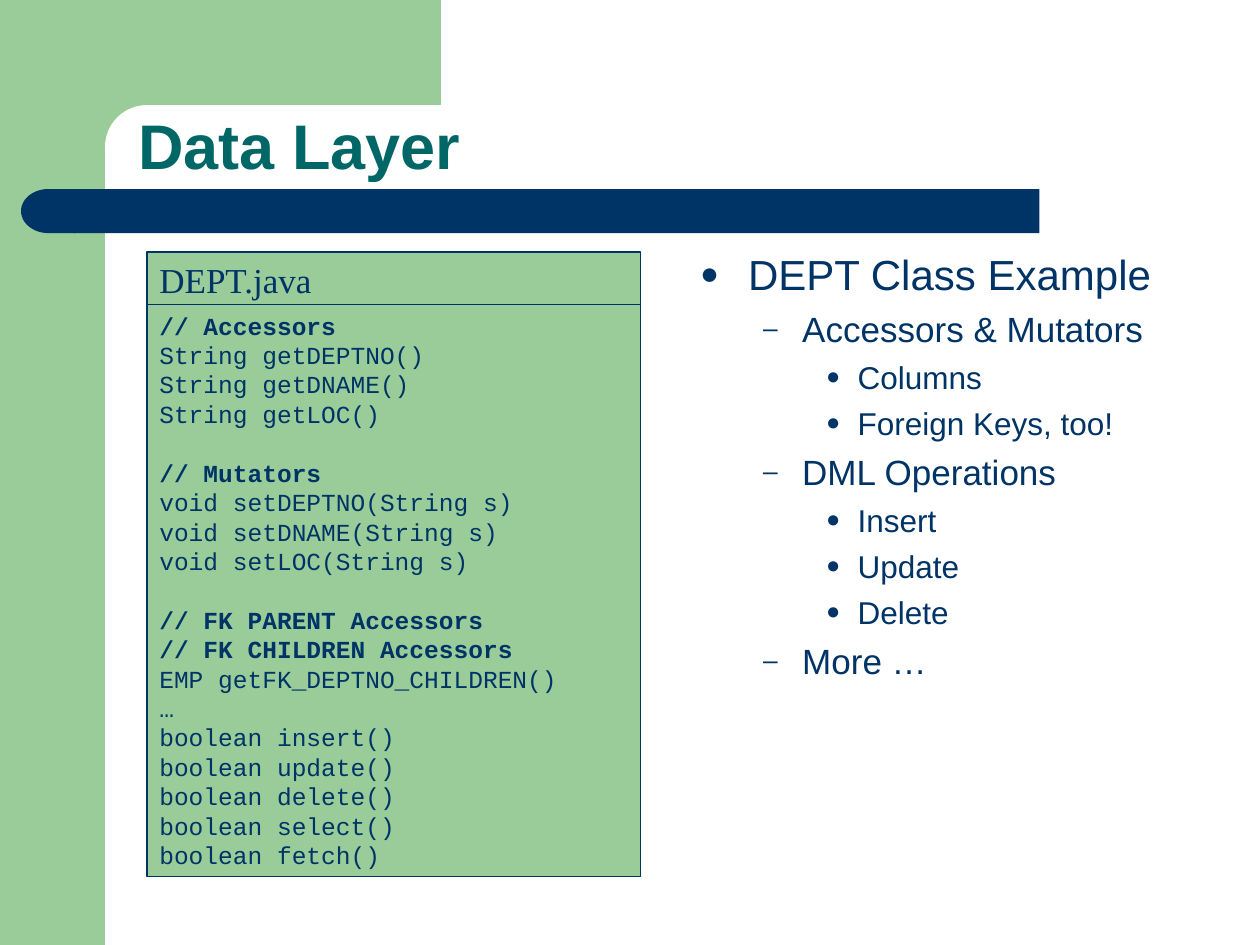
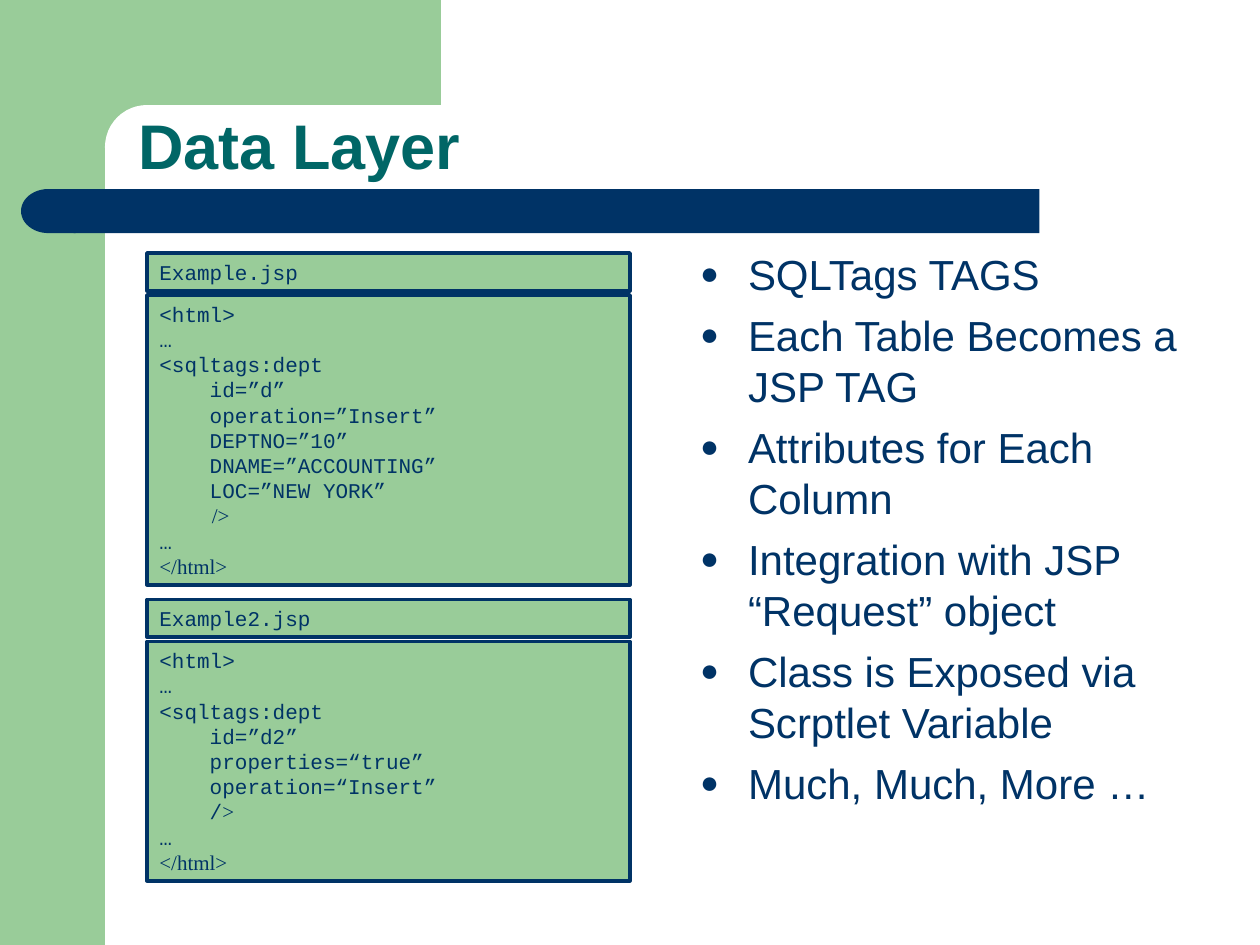
from lxml import etree
from pptx import Presentation
from pptx.dml.color import RGBColor
from pptx.enum.shapes import MSO_SHAPE
from pptx.enum.text import MSO_ANCHOR
from pptx.oxml.ns import qn
from pptx.util import Inches, Pt

COLORS = {"green": "99CC99", "navy": "003366", "teal": "006666", "white": "FFFFFF"}
SANS, MONO, SERIF = "Arial", "Courier New", "Times New Roman"
COLS, ROWS = 120, 90  # grid cells of 1/12 inch
LINE = 1.2  # line height as a share of the text size

# Bullet levels: character, text size, left margin, hanging indent, space before
LEVELS = [("●", 24, 0.38, 0.38, 6), ("–", 20, 0.81, 0.31, 5), ("●", 18, 1.25, 0.25, 4.5)]

DEPT_CODE = [
    ["// Accessors", "String getDEPTNO()", "String getDNAME()", "String getLOC()"],
    ["// Mutators", "void setDEPTNO(String s)", "void setDNAME(String s)",
     "void setLOC(String s)"],
    ["// FK PARENT Accessors", "// FK CHILDREN Accessors",
     "EMP getFK_DEPTNO_CHILDREN()", "…", "boolean insert()", "boolean update()",
     "boolean delete()", "boolean select()", "boolean fetch()"],
]
DEPT_BULLETS = [
    (0, "DEPT Class Example"), (1, "Accessors & Mutators"), (2, "Columns"),
    (2, "Foreign Keys, too!"), (1, "DML Operations"), (2, "Insert"), (2, "Update"),
    (2, "Delete"), (1, "More …"),
]

# A line is mono text, or a list of (text, font) runs
HTML_END = [("</html>", SERIF)]
EXAMPLES = [
    ("Example.jsp", 24.1, [
        "<html>", "…", "<sqltags:dept", "    id=”d”", "    operation=”Insert”",
        "    DEPTNO=”10”", "    DNAME=”ACCOUNTING”", "    LOC=”NEW YORK”",
        [("          />", SERIF)], "…", HTML_END]),
    ("Example2.jsp", 57.1, [
        "<html>", "…", "<sqltags:dept", "    id=”d2”", "    properties=“true”",
        "    operation=“Insert”", [("    /", MONO), (">", SERIF)], "…", HTML_END]),
]
TAG_BULLETS = [(0, text) for text in (
    "SQLTags TAGS", "Each Table Becomes a JSP TAG", "Attributes for Each Column",
    "Integration with JSP “Request” object", "Class is Exposed via Scrptlet Variable",
    "Much, Much, More …")]


def color(name):
    return RGBColor.from_string(COLORS[name])


def cells(*values):
    return [Inches(v / 12) for v in values]


def add_block(slide, kind, at, fill, line_width=None):
    s = slide.shapes.add_shape(kind, *cells(*at))
    s.shadow.inherit = False
    s.fill.solid()
    s.fill.fore_color.rgb = color(fill)
    if line_width:
        s.line.color.rgb = color("navy")
        s.line.width = Pt(line_width)
    else:
        s.line.fill.background()
    return s


def style(r, size, font, ink="navy", bold=False):
    r.font.size, r.font.name, r.font.bold = Pt(size), font, bold
    r.font.color.rgb = color(ink)


def add_text_box(slide, at, anchor):
    tf = slide.shapes.add_textbox(*cells(*at)).text_frame
    tf.word_wrap = True
    tf.vertical_anchor = anchor
    return tf


def next_paragraph(tf, first):
    return tf.paragraphs[0] if first else tf.add_paragraph()


def add_frame(slide, title):
    # Green corner, white inset and navy band
    add_block(slide, MSO_SHAPE.RECTANGLE, (0, 0, 10, ROWS), "green")
    add_block(slide, MSO_SHAPE.RECTANGLE, (9, 0, 33, 14), "green")
    inset = add_block(slide, MSO_SHAPE.ROUNDED_RECTANGLE, (10, 10, 67, 8), "white")
    inset.adjustments[0] = 0.5
    add_block(slide, MSO_SHAPE.RECTANGLE, (7, 18, 92, 4.2), "navy")
    add_block(slide, MSO_SHAPE.FLOWCHART_DELAY, (2, 18, 5.2, 4.2), "navy").rotation = 180
    # Title
    p = add_text_box(slide, (12, 10, 105, 8), MSO_ANCHOR.BOTTOM).paragraphs[0]
    p.text = title
    p.line_spacing = 0.9
    style(p.runs[0], 36, SANS, "teal", True)


def add_bullets(slide, items):
    tf = add_text_box(slide, (65.5, 23, 51.5, 57), MSO_ANCHOR.TOP)
    for i, (level, text) in enumerate(items):
        char, size, margin, hang, before = LEVELS[level]
        p = next_paragraph(tf, i == 0)
        p.text = text
        p.level = level
        p.line_spacing = Pt(round(size * 1.21, 1))
        if i:
            p.space_before = Pt(before)
        pPr = p._p.get_or_add_pPr()
        pPr.set("marL", str(Inches(margin)))
        pPr.set("indent", str(-Inches(hang)))
        ink = etree.SubElement(pPr, qn("a:buClr"))
        etree.SubElement(ink, qn("a:srgbClr"), val=COLORS["navy"])
        etree.SubElement(pPr, qn("a:buSzPct"), val="75000")
        etree.SubElement(pPr, qn("a:buFont"), typeface=SANS)
        etree.SubElement(pPr, qn("a:buChar"), char=char)
        style(p.runs[0], size, SANS)


def add_code(slide, at, sections, size, line_width, anchor=MSO_ANCHOR.MIDDLE):
    tf = add_block(slide, MSO_SHAPE.RECTANGLE, at, "green", line_width).text_frame
    tf.word_wrap = True
    tf.vertical_anchor = anchor
    pitch = Pt(round(size * LINE, 1))
    for i, section in enumerate(sections):
        for j, line in enumerate(section):
            p = next_paragraph(tf, i == j == 0)
            p.alignment = 1
            p.line_spacing = pitch
            if i and j == 0:
                p.space_before = pitch
            for text, font in [(line, MONO)] if isinstance(line, str) else line:
                r = p.add_run()
                r.text = text
                style(r, size, font, bold=text.startswith("//"))


def add_example(slide, name, top, lines):
    def height(count):
        return 2.4 * count + 1.2

    add_code(slide, (14, top + 4, 46, height(len(lines))), [lines], 12, 2)
    add_code(slide, (14, top, 46, height(1)), [[name]], 12, 2)


def main():
    prs = Presentation()
    prs.slide_width, prs.slide_height = cells(COLS, ROWS)
    dept, tags = [prs.slides.add_slide(prs.slide_layouts[6]) for _ in range(2)]

    # Class listing
    add_frame(dept, "Data Layer")
    add_bullets(dept, DEPT_BULLETS)
    add_code(dept, (14, 24, 47, 5.25), [[[("DEPT.java", SERIF)]]], 20, 0.75)
    add_code(dept, (14, 29, 47, 54.5), DEPT_CODE, 14, 0.75, MSO_ANCHOR.TOP)

    # Tag examples
    add_frame(tags, "Data Layer")
    add_bullets(tags, TAG_BULLETS)
    for example in EXAMPLES:
        add_example(tags, *example)

    prs.save("out.pptx")


if __name__ == "__main__":
    main()
